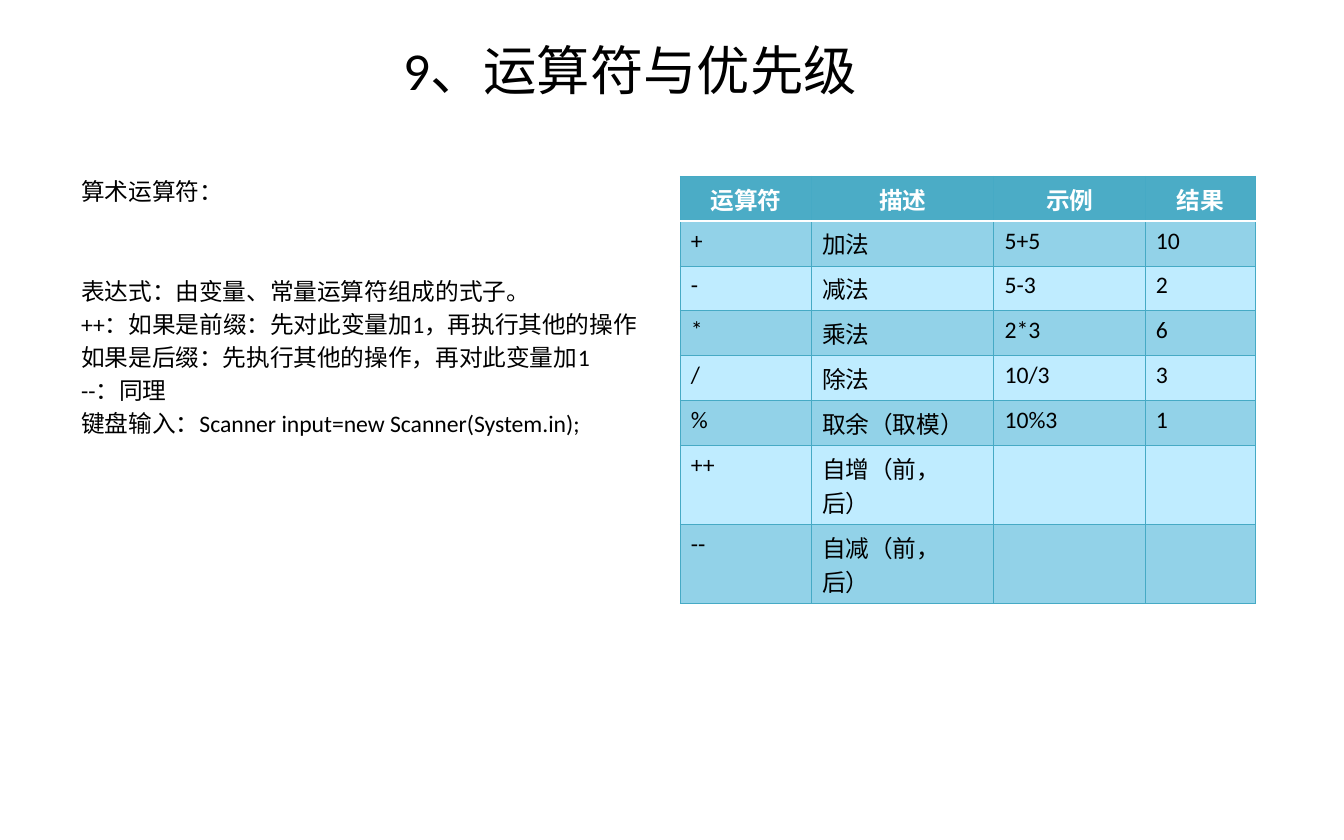
from dataclasses import dataclass

from lxml import etree
from pptx import Presentation
from pptx.dml.color import RGBColor
from pptx.enum import text
from pptx.oxml import ns
from pptx.util import Pt


@dataclass(frozen=True)
class Theme:
    font: str = "Calibri"
    title_size: float = 36
    body_size: float = 16
    line_pitch: float = 22.3
    ink: str = "000000"
    white: str = "FFFFFF"
    header: str = "4BACC6"
    dark_band: str = "92D2E8"
    light_band: str = "BFECFF"
    border: str = "46AAC5"


class SlideBuilder:
    def __init__(self, slide, theme):
        self.slide = slide
        self.theme = theme

    def format_runs(self, paragraph, size, color, bold=False):
        for run in paragraph.runs:
            run.font.name = self.theme.font
            run.font.size = Pt(size)
            run.font.bold = bold
            run.font.color.rgb = RGBColor.from_string(color)

    def place(self, shape, left, top, width, height):
        shape.left, shape.top = Pt(left), Pt(top)
        shape.width, shape.height = Pt(width), Pt(height)
        frame = shape.text_frame
        frame.word_wrap = True
        frame.auto_size = text.MSO_AUTO_SIZE.NONE
        frame.margin_left = frame.margin_right = Pt(9.4)
        frame.margin_top = frame.margin_bottom = Pt(5)
        return frame

    def title(self, caption, *box):
        frame = self.place(self.slide.shapes.title, *box)
        frame.text = caption
        frame.vertical_anchor = text.MSO_ANCHOR.MIDDLE
        paragraph = frame.paragraphs[0]
        paragraph.alignment = text.PP_ALIGN.CENTER
        self.format_runs(paragraph, self.theme.title_size, self.theme.ink)

    def body(self, lines, *box):
        """Each line is a pair: wording and space before it."""
        frame = self.place(self.slide.placeholders[1], *box)
        frame.vertical_anchor = text.MSO_ANCHOR.TOP
        frame.text = "\n".join(line for line, _ in lines)
        for paragraph, (_, gap) in zip(frame.paragraphs, lines):
            paragraph.alignment = text.PP_ALIGN.LEFT
            paragraph.space_before = Pt(gap)
            paragraph.line_spacing = Pt(self.theme.line_pitch)
            properties = paragraph._p.get_or_add_pPr()
            properties.set("marL", "0")
            properties.set("indent", "0")
            etree.SubElement(properties, ns.qn("a:buNone"))
            self.format_runs(paragraph, self.theme.body_size, self.theme.ink)

    def cell_borders(self, cell, edges):
        """Edges map L, R, T and B, in that order, to color and width."""
        properties = cell._tc.get_or_add_tcPr()
        for position, (side, (color, width)) in enumerate(edges.items()):
            line = etree.Element(ns.qn(f"a:ln{side}"), w=str(Pt(width)))
            fill = etree.SubElement(line, ns.qn("a:solidFill"))
            etree.SubElement(fill, ns.qn("a:srgbClr"), val=color)
            properties.insert(position, line)

    def table(self, rows, left, top, widths, heights):
        theme = self.theme
        table = self.slide.shapes.add_table(
            len(rows), len(widths), Pt(left), Pt(top),
            Pt(sum(widths)), Pt(sum(heights))).table
        for column, width in zip(table.columns, widths):
            column.width = Pt(width)
        for row, height in zip(table.rows, heights):
            row.height = Pt(height)

        thin, divider = (theme.border, 0.75), (theme.white, 2)
        for row_index, values in enumerate(rows):
            is_header = row_index == 0
            band = theme.dark_band if row_index % 2 else theme.light_band
            edges = {"L": thin, "R": thin,
                     "T": divider if row_index == 1 else thin,
                     "B": divider if is_header else thin}
            for column_index, value in enumerate(values):
                cell = table.cell(row_index, column_index)
                cell.text = value
                cell.fill.solid()
                cell.fill.fore_color.rgb = RGBColor.from_string(
                    theme.header if is_header else band)
                paragraph = cell.text_frame.paragraphs[0]
                if is_header:
                    paragraph.alignment = text.PP_ALIGN.CENTER
                self.format_runs(paragraph, theme.body_size,
                                 theme.white if is_header else theme.ink,
                                 is_header)
                self.cell_borders(cell, edges)


def main():
    presentation = Presentation()
    presentation.slide_width, presentation.slide_height = Pt(907.2), Pt(567)
    slide = presentation.slides.add_slide(presentation.slide_layouts[1])
    builder = SlideBuilder(slide, Theme())

    # Title
    builder.title("9、运算符与优先级", 113.4, 23, 623.5, 47.5)

    # Notes on expressions
    builder.body([
        ("算术运算符：", 0),
        ("表达式：由变量、常量运算符组成的式子。", 45.2),
        ("++：如果是前缀：先对此变量加1，再执行其他的操作", 0),
        ("如果是后缀：先执行其他的操作，再对此变量加1", 0),
        ("--：同理", 0),
        ("键盘输入：Scanner input=new Scanner(System.in);", 0),
    ], 45.4, 111, 816.5, 382.3)

    # Arithmetic operators
    builder.table([
        ("运算符", "描述", "示例", "结果"),
        ("+", "加法", "5+5", "10"),
        ("-", "减法", "5-3", "2"),
        ("*", "乘法", "2*3", "6"),
        ("/", "除法", "10/3", "3"),
        ("%", "取余（取模）", "10%3", "1"),
        ("++", "自增（前，后）", "", ""),
        ("--", "自减（前，后）", "", ""),
    ], 459.2, 119, [88.5, 123.2, 102.2, 74.3], [30.1] * 6 + [53.3] * 2)

    presentation.save("out.pptx")


if __name__ == "__main__":
    main()
